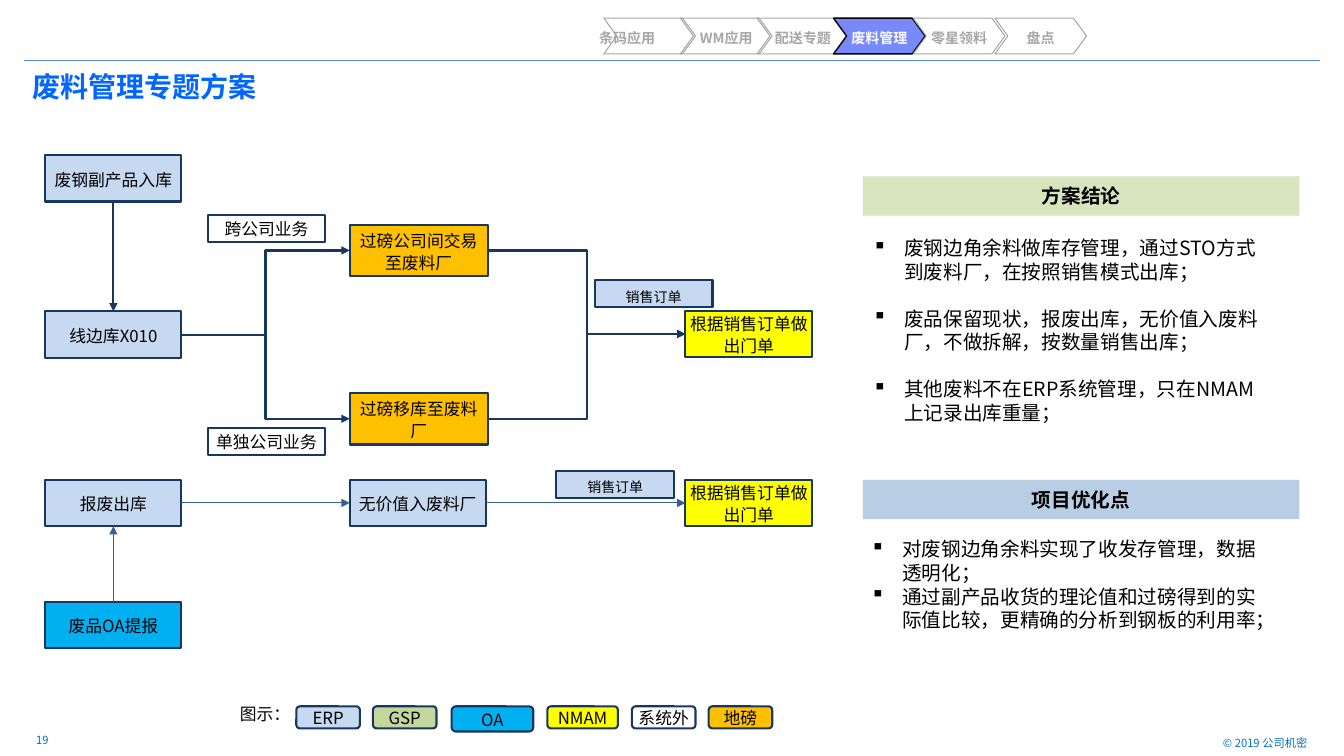
from dataclasses import dataclass

from lxml import etree
from pptx import Presentation
from pptx.dml.color import RGBColor
from pptx.enum.shapes import MSO_CONNECTOR, MSO_SHAPE
from pptx.enum.text import MSO_ANCHOR, MSO_AUTO_SIZE, PP_ALIGN
from pptx.oxml.ns import qn
from pptx.util import Pt

RECTANGLE, ROUNDED = MSO_SHAPE.RECTANGLE, MSO_SHAPE.ROUNDED_RECTANGLE
CHEVRON = MSO_SHAPE.CHEVRON
STRAIGHT, ELBOW = MSO_CONNECTOR.STRAIGHT, MSO_CONNECTOR.ELBOW
LEFT, CENTER, RIGHT = PP_ALIGN.LEFT, PP_ALIGN.CENTER, PP_ALIGN.RIGHT
TOP, MIDDLE = MSO_ANCHOR.TOP, MSO_ANCHOR.MIDDLE
SITE_TOP, SITE_LEFT, SITE_BOTTOM, SITE_RIGHT = range(4)


@dataclass(frozen=True)
class Theme:
    font: str = "Noto Sans CJK SC"
    title_size: float = 20
    body_size: float = 14
    box_size: float = 12
    small_size: float = 10
    footer_size: float = 8
    black: str = "000000"
    white: str = "FFFFFF"
    title: str = "0066FF"
    footer: str = "0070C0"
    rule: str = "558ED5"
    gray: str = "A6A6A6"
    active: str = "7889FB"
    outline: str = "17375E"
    thin_arrow: str = "376092"
    erp: str = "C6D9F1"
    gsp: str = "C3D69B"
    oa: str = "00B0F0"
    nmam: str = "FFFF00"
    scale: str = "FFC000"
    conclusion: str = "D7E4BD"
    improvement: str = "B9CDE5"


class SlideBuilder:
    def __init__(self, slide, theme):
        self.slide = slide
        self.theme = theme

    def fill_text(self, frame, paragraphs, size, color, line_height, align=LEFT, anchor=TOP,
                  bold=False, insets=(7.2, 3.6, 7.2, 3.6), wrap=True, bullet=None, gap=0):
        frame.auto_size = MSO_AUTO_SIZE.NONE
        frame.word_wrap = wrap
        frame.vertical_anchor = anchor
        (frame.margin_left, frame.margin_top,
         frame.margin_right, frame.margin_bottom) = map(Pt, insets)
        for index, text in enumerate(paragraphs):
            paragraph = frame.paragraphs[0] if index == 0 else frame.add_paragraph()
            paragraph.text = text
            paragraph.alignment = align
            paragraph.line_spacing = Pt(line_height)
            paragraph.space_before = Pt(gap if index else 0)
            properties = paragraph._p.get_or_add_pPr()
            if bullet:
                properties.set("marL", str(Pt(22.5)))
                properties.set("indent", str(-Pt(22.5)))
                etree.SubElement(properties, qn("a:buChar"), char=bullet)
            font = paragraph.font
            font.size = Pt(size)
            font.bold = bold
            font.color.rgb = RGBColor.from_string(color)
            font.name = self.theme.font
            etree.SubElement(properties.find(qn("a:defRPr")), qn("a:ea"),
                             typeface=self.theme.font)

    def title(self, text, left, top, width, height):
        shape = self.slide.shapes.title
        shape.left, shape.top, shape.width, shape.height = map(Pt, (left, top, width, height))
        self.fill_text(shape.text_frame, [text], self.theme.title_size, self.theme.title, 23,
                       bold=True, insets=(5.8, 3.6, 5.8, 3.6))

    def text(self, paragraphs, left, top, width, height, size, color, line_height, **style):
        box = self.slide.shapes.add_textbox(*map(Pt, (left, top, width, height)))
        self.fill_text(box.text_frame, paragraphs, size, color, line_height, **style)

    def shape(self, kind, left, top, width, height, fill=None, line=None, weight=1.5):
        shape = self.slide.shapes.add_shape(kind, *map(Pt, (left, top, width, height)))
        shape.shadow.inherit = False
        if fill:
            shape.fill.solid()
            shape.fill.fore_color.rgb = RGBColor.from_string(fill)
        else:
            shape.fill.background()
        if line:
            shape.line.color.rgb = RGBColor.from_string(line)
            shape.line.width = Pt(weight)
        else:
            shape.line.fill.background()
        return shape

    def box(self, text, left, top, width, height, fill=None, size=None, kind=RECTANGLE):
        shape = self.shape(kind, left, top, width, height, fill, self.theme.outline)
        self.fill_text(shape.text_frame, [text], size or self.theme.box_size,
                       self.theme.black, 15.7, CENTER, MIDDLE, insets=(2.9,) * 4)
        return shape

    def heading(self, text, top, fill):
        shape = self.shape(RECTANGLE, 616.3, top, 311.8, 28.1, fill)
        self.fill_text(shape.text_frame, [text], self.theme.body_size, self.theme.black, 16.8,
                       CENTER, MIDDLE, bold=True)

    def bullets(self, paragraphs, left, top, height, gap=0):
        self.text(paragraphs, left, top, 292.3, height, self.theme.body_size,
                  self.theme.black, 16.8, bullet="▪", gap=gap)

    def step(self, text, left, active):
        theme = self.theme
        fill, line, weight, color = ((theme.active, theme.black, 1, theme.white) if active
                                     else (None, theme.gray, 0.75, theme.gray))
        shape = self.shape(CHEVRON, left, 13, 65.5, 25.5, fill, line, weight)
        shape.adjustments[0] = 0.365
        self.fill_text(shape.text_frame, [text], theme.small_size, color, 12, CENTER, MIDDLE,
                       bold=True, insets=(7.2, 5.8, 7.2, 2.9), wrap=False)

    def line(self, color, weight, kind=STRAIGHT, ends=(0, 0, 0, 0), arrow=False):
        connector = self.slide.shapes.add_connector(kind, *map(Pt, ends))
        connector.line.color.rgb = RGBColor.from_string(color)
        connector.line.width = Pt(weight)
        properties = connector._element.spPr
        if arrow:
            etree.SubElement(properties.find(qn("a:ln")), qn("a:tailEnd"), type="triangle")
        etree.SubElement(properties, qn("a:effectLst"))
        return connector

    def arrow(self, source, source_site, target, target_site, kind=STRAIGHT, thin=False):
        color, weight = (self.theme.thin_arrow, 0.75) if thin else (self.theme.outline, 1.5)
        connector = self.line(color, weight, kind, arrow=True)
        connector.begin_connect(source, source_site)
        connector.end_connect(target, target_site)


def add_frame(builder):
    """Title, rule, step navigation and footer."""
    theme = builder.theme
    builder.line(theme.rule, 0.75, ends=(17.3, 43.2, 943.2, 43.2))
    builder.title("废料管理专题方案", 17.3, 46.8, 925.9, 54.7)
    builder.text(["© 2019 公司机密"], 797, 522, 144, 14.4, theme.footer_size, theme.footer,
                 10, align=RIGHT)
    builder.text(["19"], 18.7, 519.8, 67.7, 17.3, theme.footer_size, theme.footer, 10,
                 anchor=MIDDLE)
    steps = [("条码应用\t", 431.3), ("WM应用", 486), ("配送专题", 540.7),
             ("废料管理", 595.4), ("零星领料", 652.3), ("盘点", 710.6)]
    for text, left in steps:
        builder.step(text, left, active=text == "废料管理")


def add_flow(builder):
    theme = builder.theme
    first, second, third = 32.4, 249.8, 489.6
    blue, orange, yellow, label = (97.2, 33.1), (98.6, 36.7), (90.7, 33.1), (84.2, 19.4)

    receipt = builder.box("废钢副产品入库", first, 110.9, *blue, theme.erp)
    line_store = builder.box("线边库X010", first, 222.5, *blue, theme.erp)
    scrapping = builder.box("报废出库", first, 342.7, *blue, theme.erp)
    request = builder.box("废品OA提报", first, 429.8, *blue, theme.oa)
    trade = builder.box("过磅公司间交易至废料厂", second, 160.6, *orange, theme.scale)
    transfer = builder.box("过磅移库至废料厂", second, 280.8, *orange, theme.scale)
    worthless = builder.box("无价值入废料厂", second, 342.7, *blue, theme.erp)
    gate_pass, scrap_pass = [builder.box("根据销售订单做出门单", third, top, *yellow, theme.nmam)
                             for top in (222, 342.7)]

    builder.arrow(receipt, SITE_BOTTOM, line_store, SITE_TOP)
    for weighing in (trade, transfer):
        builder.arrow(line_store, SITE_RIGHT, weighing, SITE_LEFT, ELBOW)
        builder.arrow(weighing, SITE_RIGHT, gate_pass, SITE_LEFT, ELBOW)
    builder.arrow(request, SITE_TOP, scrapping, SITE_BOTTOM, thin=True)
    builder.arrow(scrapping, SITE_RIGHT, worthless, SITE_LEFT, thin=True)
    builder.arrow(worthless, SITE_RIGHT, scrap_pass, SITE_LEFT, thin=True)

    for text, top in (("跨公司业务", 153.4), ("单独公司业务", 305.6)):
        builder.box(text, 148.3, top, *label)
    for left, top in ((424.8, 200.2), (397.4, 336.2)):
        builder.box("销售订单", left, top, *label, theme.erp, theme.small_size)


def add_legend(builder):
    theme = builder.theme
    builder.text(["图示："], 164.2, 498.2, 54.7, 21.6, theme.box_size, theme.black, 15.7)
    entries = [("ERP", 211.7, 45.4, 15.8, theme.erp), ("GSP", 266.4, 45.4, 15.8, theme.gsp),
               ("OA", 322.6, 58.3, 18, theme.oa), ("NMAM", 391, 50.4, 15.8, theme.nmam),
               ("系统外", 451.4, 45.4, 15.8, None), ("地磅", 506.2, 45.4, 15.8, theme.scale)]
    for text, left, width, height, fill in entries:
        builder.box(text, left, 504.5, width, height, fill, kind=ROUNDED)


def add_findings(builder):
    builder.heading("方案结论", 126, builder.theme.conclusion)
    builder.bullets(["废钢边角余料做库存管理，通过STO方式到废料厂，在按照销售模式出库；",
                     "废品保留现状，报废出库，无价值入废料厂，不做拆解，按数量销售出库；",
                     "其他废料不在ERP系统管理，只在NMAM上记录出库重量；"], 616.3, 165, 143, gap=16.8)
    builder.heading("项目优化点", 342.7, builder.theme.improvement)
    builder.bullets(["对废钢边角余料实现了收发存管理，数据透明化；",
                     "通过副产品收货的理论值和过磅得到的实际值比较，更精确的分析到钢板的利用率；"],
                    614.9, 380.3, 91)


def main():
    presentation = Presentation()
    presentation.slide_width, presentation.slide_height = Pt(960), Pt(540)
    slide = presentation.slides.add_slide(presentation.slide_layouts[5])
    builder = SlideBuilder(slide, Theme())
    add_frame(builder)
    add_findings(builder)
    add_flow(builder)
    add_legend(builder)
    presentation.save("out.pptx")


if __name__ == "__main__":
    main()
